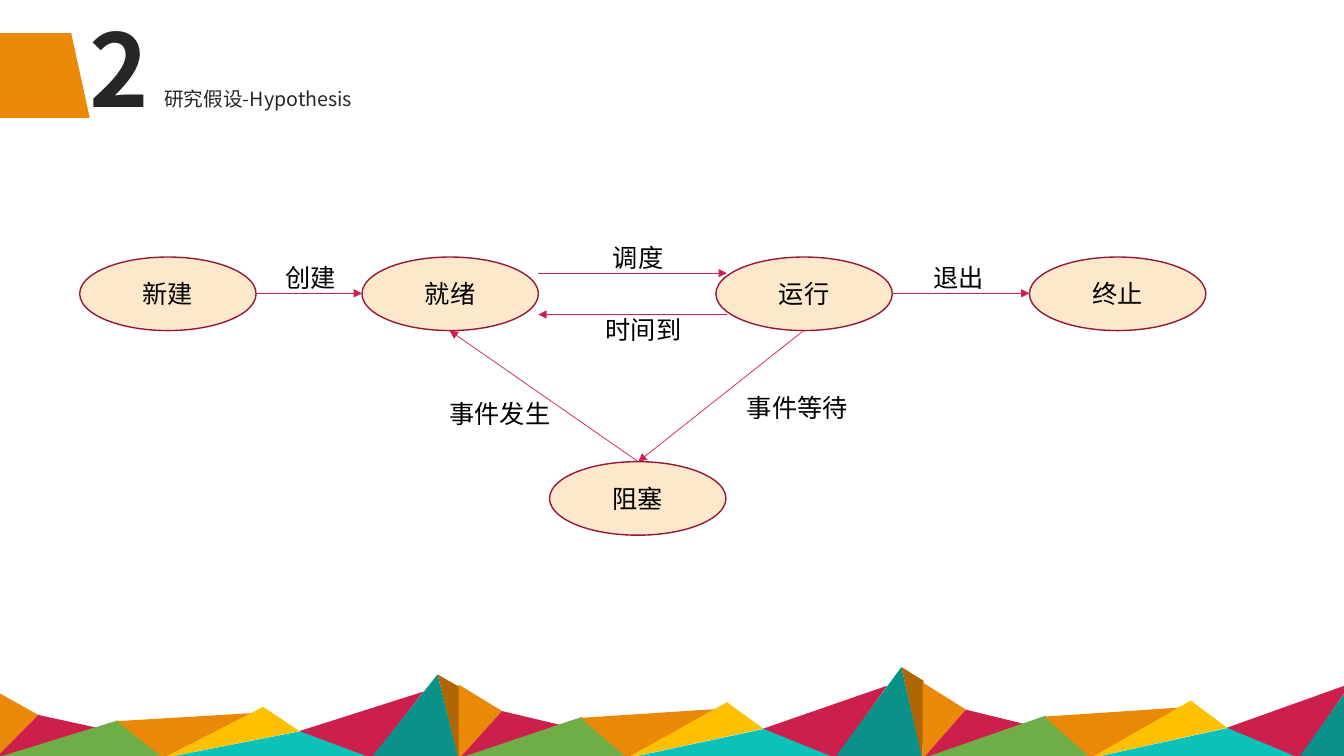
from dataclasses import dataclass

from lxml import etree
from pptx import Presentation
from pptx.dml.color import RGBColor
from pptx.enum import shapes, text
from pptx.oxml.ns import qn
from pptx.util import Inches, Pt


@dataclass(frozen=True)
class Theme:
    font: str = "Noto Sans CJK SC"
    number_size: int = 72
    label_size: int = 18
    heading_size: int = 14
    ink: str = "262626"
    label: str = "000000"
    state_fill: str = "FDE8CB"
    state_line: str = "971738"
    orange: str = "EA8807"
    red: str = "CC1F4C"
    green: str = "6FAD46"
    yellow: str = "FEC001"
    cyan: str = "0CC1B8"
    teal: str = "09918A"
    brown: str = "AF6605"


theme = Theme()


def add_run(p, words, size, color, bold=False):
    r = p.add_run()
    r.text = words
    r.font.size = Pt(size)
    r.font.bold = bold
    r.font.color.rgb = RGBColor.from_string(color)
    r.font.name = theme.font
    etree.SubElement(r._r.get_or_add_rPr(), qn("a:ea"), typeface=theme.font)


def paint(sp, fill, line=None):
    sp.shadow.inherit = False
    sp.fill.solid()
    sp.fill.fore_color.rgb = RGBColor.from_string(fill)
    if line:
        sp.line.color.rgb = RGBColor.from_string(line)
        sp.line.width = Pt(1)
    else:
        sp.line.fill.background()


prs = Presentation()
prs.slide_width, prs.slide_height = Inches(13.33), Inches(7.5)
s = prs.slides.add_slide(prs.slide_layouts[1])

facets = [
    (theme.orange, [(0, -0.01), (0, 0.75), (0.43, 0.48)]),
    (theme.red, [(0, -0.01), (0.43, 0.48), (1, 0.34)]),
    (theme.green, [(0.01, 0), (1.22, 0.42), (1.68, 0)]),
    (theme.orange, [(1.21, 0.41), (2.55, 0.5), (1.67, 0)]),
    (theme.yellow, [(3.02, 0.3), (1.67, 0), (2.66, 0.57)]),
    (theme.cyan, [(3.75, 0), (1.68, 0), (3.04, 0.3)]),
    (theme.red, [(3.74, 0), (3.02, 0.3), (4.25, 0.74)]),
    (theme.teal, [(4.6, 0), (3.73, 0), (4.39, 0.93)]),
    (theme.brown, [(4.61, 0.79), (4.6, -0.02), (4.39, 0.93)]),
]
for i, scale in enumerate([0.89, 0.97, 1]):
    for color, points in facets:
        corners = [(Inches(-0.05 + 4.6 * i + x), Inches(7.52 - scale * h)) for x, h in points]
        if min(x for x, y in corners) < prs.slide_width:
            fb = s.shapes.build_freeform(*corners[0])
            fb.add_line_segments(corners[1:], close=True)
            paint(fb.convert_to_shape(), color)

tab = s.shapes.add_shape(
    shapes.MSO_SHAPE.FLOWCHART_MANUAL_INPUT, Inches(0.01), Inches(0.29), Inches(0.84), Inches(0.92))
tab.rotation = 90
paint(tab, theme.orange)

headings = [
    (s.placeholders[1], "2", theme.number_size, True, (0.79, 0.25, 0.74, 0.99)),
    (s.shapes.title, "研究假设-Hypothesis", theme.heading_size, False, (1.53, 0.86, 3.45, 0.38)),
]
for sp, words, size, bold, box in headings:
    sp.left, sp.top, sp.width, sp.height = map(Inches, box)
    tf = sp.text_frame
    tf.auto_size = text.MSO_AUTO_SIZE.NONE
    tf.vertical_anchor = text.MSO_ANCHOR.TOP
    p = tf.paragraphs[0]
    p.alignment = text.PP_ALIGN.LEFT
    p.line_spacing = 0.8
    p.space_before = Pt(0)
    pPr = p._p.get_or_add_pPr()
    pPr.set("marL", "0")
    pPr.set("indent", "0")
    etree.SubElement(pPr, qn("a:buNone"))
    add_run(p, words, size, theme.ink, bold)

states = {}
for name, x, y in [("就绪", 3.59, 2.55), ("运行", 7.1, 2.55), ("新建", 0.79, 2.55),
                   ("终止", 10.21, 2.55), ("阻塞", 5.45, 4.58)]:
    sp = s.shapes.add_shape(shapes.MSO_SHAPE.OVAL, Inches(x), Inches(y), Inches(1.75), Inches(0.73))
    paint(sp, theme.state_fill, theme.state_line)
    tf = sp.text_frame
    tf.vertical_anchor = text.MSO_ANCHOR.MIDDLE
    p = tf.paragraphs[0]
    p.alignment = text.PP_ALIGN.CENTER
    add_run(p, name, theme.label_size, theme.label)
    states[name] = sp

top, left, bottom, right = 0, 2, 4, 6
transitions = [
    ("调度", (5.98, 2.35, 0.71), (5.34, 2.71, 7.21, 2.71), []),
    ("时间到", (5.91, 3.07, 0.96), (7.21, 3.12, 5.34, 3.12), []),
    ("退出", (9.16, 2.55, 0.71), (8.85, 2.91, 10.21, 2.91), [("运行", right), ("终止", left)]),
    ("创建", (2.73, 2.55, 0.71), (2.54, 2.91, 3.59, 2.91), [("新建", right), ("就绪", left)]),
    ("事件发生", (4.36, 3.9, 1.21), (6.33, 4.58, 4.46, 3.28), [("阻塞", top), ("就绪", bottom)]),
    ("事件等待", (7.31, 3.84, 1.21), (7.97, 3.28, 6.33, 4.58), [("运行", bottom), ("阻塞", top)]),
]
for name, (x, y, w), ends, links in transitions:
    arrow = s.shapes.add_connector(shapes.MSO_CONNECTOR.STRAIGHT, *map(Inches, ends))
    joints = arrow._element.nvCxnSpPr.cNvCxnSpPr
    for tag, (state, site) in zip(["a:stCxn", "a:endCxn"], links):
        etree.SubElement(joints, qn(tag), id=str(states[state].shape_id), idx=str(site))
    arrow.line.color.rgb = RGBColor.from_string(theme.red)
    arrow.line.width = Pt(0.5)
    etree.SubElement(arrow.line._get_or_add_ln(), qn("a:tailEnd"), type="triangle")
    etree.SubElement(arrow._element.spPr, qn("a:effectLst"))

    tf = s.shapes.add_textbox(Inches(x), Inches(y), Inches(w), Inches(0.4)).text_frame
    tf.word_wrap = False
    tf.auto_size = text.MSO_AUTO_SIZE.SHAPE_TO_FIT_TEXT
    add_run(tf.paragraphs[0], name, theme.label_size, theme.label)

prs.save("out.pptx")
